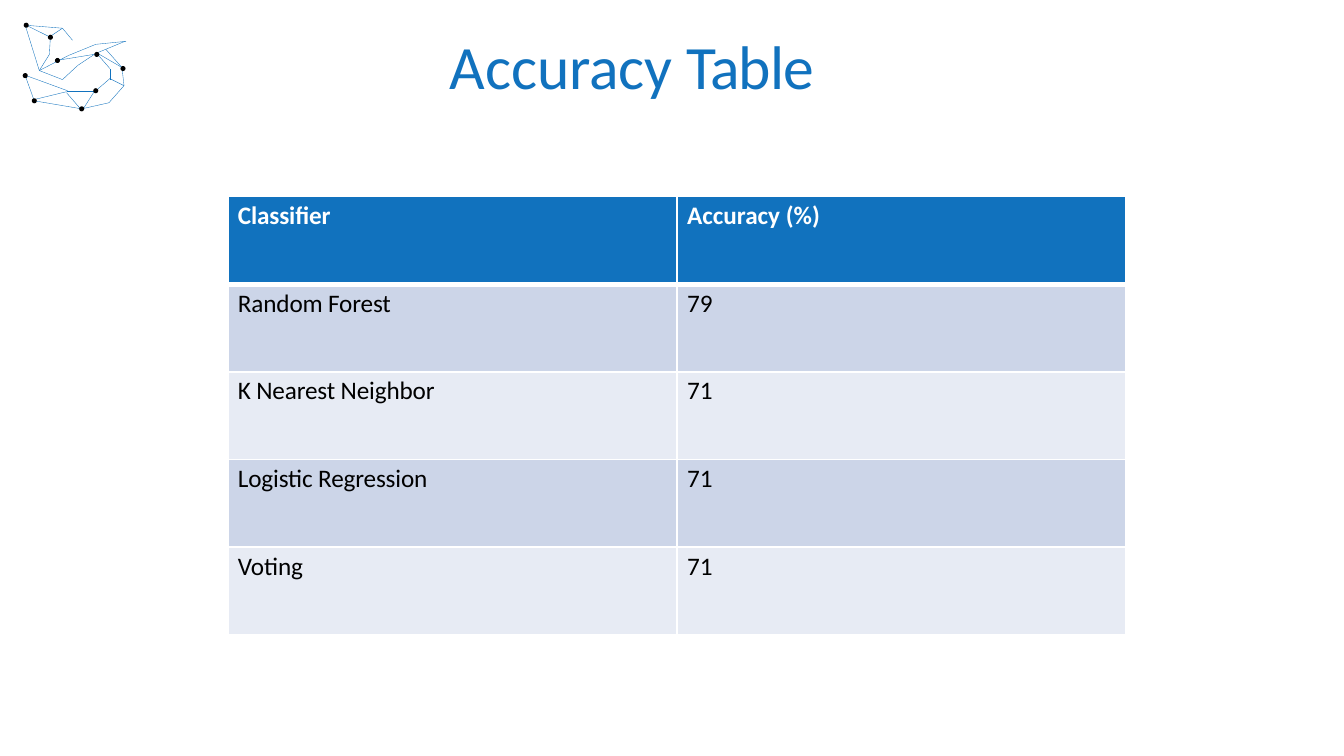
from dataclasses import dataclass

from lxml.etree import SubElement
from pptx import Presentation
from pptx.dml.color import RGBColor as RGB
from pptx.enum.shapes import MSO_CONNECTOR as Connector, MSO_SHAPE as Shape
from pptx.enum.text import MSO_ANCHOR as Anchor, PP_ALIGN as Align
from pptx.oxml.ns import qn
from pptx.util import Inches, Pt

# Content: title runs carry their letter spacing in hundredths of a point
TITLE = [("Accuracy ", -10), ("Table", -80)]
ROWS = [
    ("Classifier", "Accuracy (%)"),
    ("Random Forest", "79"),
    ("K Nearest Neighbor", "71"),
    ("Logistic Regression", "71"),
    ("Voting", "71"),
]

# Corner network: strokes as chains of points, then dot centres, in inches
STROKES = [
    [(0.25, 0.25), (0.39, 0.7)],
    [(0.25, 0.25), (0.62, 0.28)],
    [(1.05, 0.49), (1.21, 0.67), (1.23, 0.85), (1.08, 1.02), (0.81, 1.08),
     (0.34, 1), (0.25, 0.75)],
    [(0.62, 0.79), (0.39, 0.7), (0.68, 0.55), (0.95, 0.44), (1.25, 0.41)],
    [(1.24, 0.41), (0.95, 0.53), (0.77, 0.65), (0.62, 0.79)],
    [(0.26, 0.75), (0.67, 0.9)],
    [(0.66, 0.9), (0.95, 0.9), (1.09, 0.78)],
    [(1.09, 0.79), (1.09, 0.68), (0.96, 0.53)],
    [(0.39, 0.7), (0.49, 0.54), (0.5, 0.36), (0.62, 0.28), (0.72, 0.4)],
    [(0.26, 0.25), (0.5, 0.37)],
    [(0.56, 0.6), (0.93, 0.54)],
    [(0.33, 0.99), (0.66, 0.91)],
    [(0.66, 0.92), (0.79, 1.07)],
    [(0.94, 0.9), (0.82, 1.09)],
    [(1.09, 0.78), (1.23, 0.85)],
    [(0.97, 0.53), (1.21, 0.67)],
]
DOTS = [(0.57, 0.6), (0.25, 0.75), (0.34, 1), (0.5, 0.37), (0.95, 0.9),
        (0.81, 1.08), (1.22, 0.68), (0.96, 0.54), (0.26, 0.25)]
DOT_SIZE = 0.05


@dataclass(frozen=True)
class Theme:
    font: str = "Calibri"
    blue: str = "1172BE"
    white: str = "FFFFFF"
    black: str = "000000"
    bands: tuple = ("CCD5E8", "E7EBF4")
    title_size: float = 44
    table_size: float = 18
    network_line: float = 0.25
    rule: float = 1.5
    header_rule: float = 4.25


THEME = Theme()


def set_font(p, size, color, bold=False):
    p.font.name = THEME.font
    p.font.size = Pt(size)
    p.font.bold = bold
    p.font.color.rgb = RGB.from_string(color)


def add_spaced_run(p, text, spacing):
    r = p.add_run()
    r.text = text
    r._r.get_or_add_rPr().set("spc", str(spacing))


def set_borders(cell, widths):
    """Draw white rules; widths maps lnL, lnR, lnT and lnB to points."""
    tc_pr = cell._tc.get_or_add_tcPr()
    for index, (side, width) in enumerate(widths.items()):
        ln = tc_pr.makeelement(qn(f"a:{side}"), {"w": str(Pt(width))})
        fill = SubElement(ln, qn("a:solidFill"))
        SubElement(fill, qn("a:srgbClr"), val=THEME.white)
        tc_pr.insert(index, ln)


def add_network(slide):
    for stroke in STROKES:
        for start, end in zip(stroke, stroke[1:]):
            line = slide.shapes.add_connector(
                Connector.STRAIGHT, *map(Inches, start + end))
            line.line.color.rgb = RGB.from_string(THEME.blue)
            line.line.width = Pt(THEME.network_line)
            SubElement(line._element.spPr, qn("a:effectLst"))
    for x, y in DOTS:
        sp = slide.shapes.add_shape(
            Shape.OVAL, Inches(x - DOT_SIZE / 2), Inches(y - DOT_SIZE / 2),
            Inches(DOT_SIZE), Inches(DOT_SIZE))
        sp.shadow.inherit = False
        sp.fill.solid()
        sp.fill.fore_color.rgb = RGB.from_string(THEME.black)
        sp.line.fill.background()


def add_title(slide):
    sp = slide.shapes.title
    sp.left, sp.top = Inches(4.46), Inches(0.27)
    sp.width, sp.height = Inches(3.66), Inches(0.76)
    tf = sp.text_frame
    tf.margin_left = tf.margin_right = tf.margin_bottom = 0
    tf.margin_top = Inches(0.01)
    tf.vertical_anchor = Anchor.TOP
    tf.word_wrap = False
    p = tf.paragraphs[0]
    p.alignment = Align.LEFT
    p.space_before = Pt(1)
    set_font(p, THEME.title_size, THEME.blue)
    for text, spacing in TITLE:
        add_spaced_run(p, text, spacing)


def add_accuracy_table(slide):
    table = slide.shapes.add_table(
        len(ROWS), len(ROWS[0]), Inches(2.26), Inches(1.95),
        Inches(8.91), Inches(0.87 * len(ROWS))).table
    for i, row in enumerate(ROWS):
        header = i == 0
        fill = THEME.blue if header else THEME.bands[(i - 1) % 2]
        widths = {
            "lnL": THEME.rule,
            "lnR": THEME.rule,
            "lnT": THEME.header_rule if i == 1 else THEME.rule,
            "lnB": THEME.header_rule if header else THEME.rule,
        }
        for j, text in enumerate(row):
            cell = table.cell(i, j)
            cell.margin_left, cell.margin_top = Inches(0.1), Inches(0.04)
            cell.margin_right = cell.margin_bottom = 0
            cell.fill.solid()
            cell.fill.fore_color.rgb = RGB.from_string(fill)
            set_borders(cell, widths)
            p = cell.text_frame.paragraphs[0]
            p.space_before = Pt(2.5)
            set_font(p, THEME.table_size,
                     THEME.white if header else THEME.black, header)
            add_spaced_run(p, text, -10 if j == 0 else 0)


def main():
    prs = Presentation()
    prs.slide_width, prs.slide_height = Inches(13.33), Inches(7.5)
    slide = prs.slides.add_slide(prs.slide_layouts[5])

    # Corner network, heading, results
    add_network(slide)
    add_title(slide)
    add_accuracy_table(slide)

    prs.save("out.pptx")


if __name__ == "__main__":
    main()
